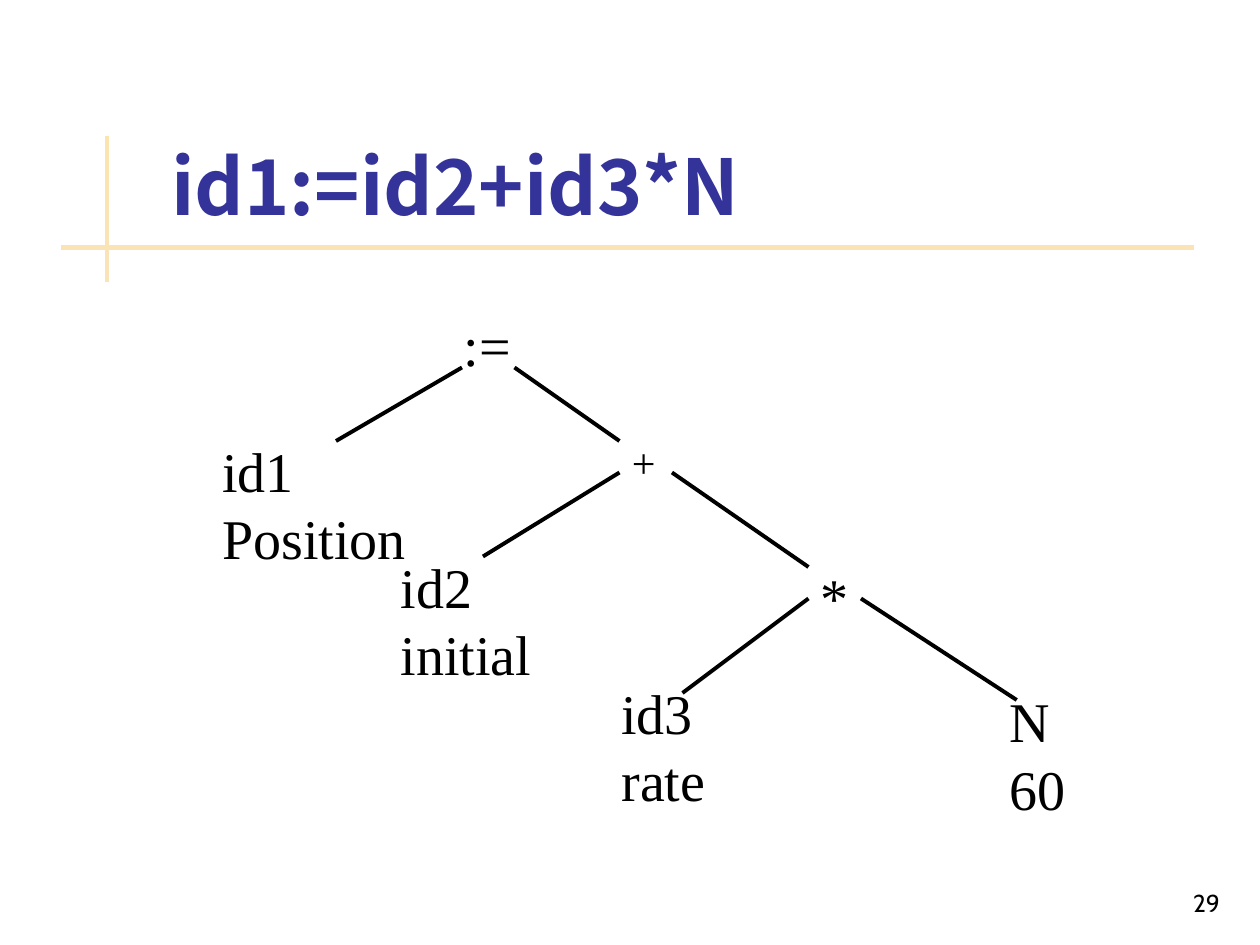
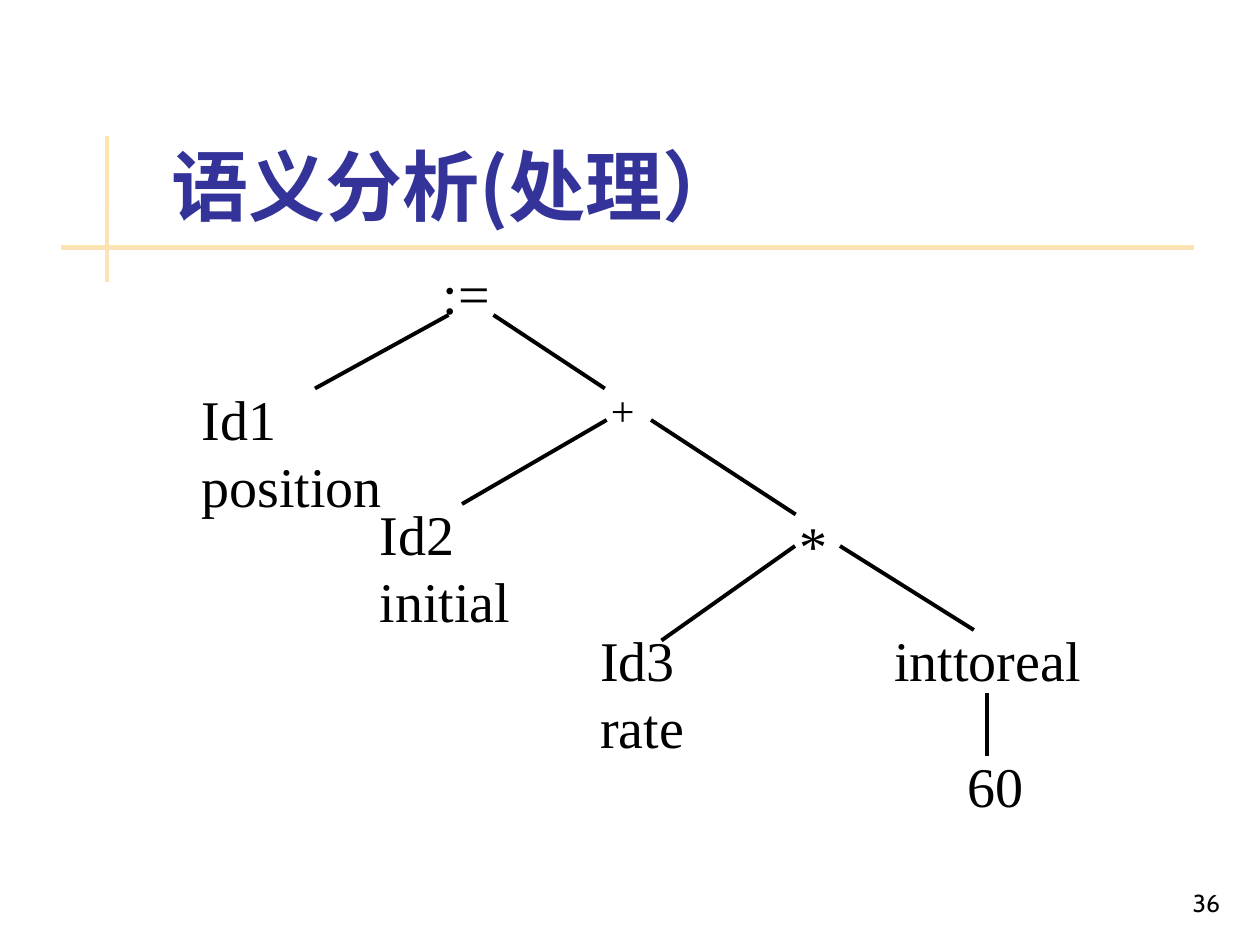
from lxml import etree
from pptx import Presentation
from pptx import util as u
from pptx.dml.color import RGBColor
from pptx.enum import shapes, text
from pptx.oxml.ns import qn

COLORS = {
    "title": "333399",
    "ink": "000000",
    "band_start": "FBE4AE",
    "band_end": "FAE3B7",
}
TITLE_FONT = "Noto Sans CJK JP"
TREE_FONT = "Times New Roman"
NUMBER_FONT = "Cabin"
LINE_HEIGHT = 1.2

BANDS = [(60, 78, 2.2, 83), (34.6, 140.2, 648, 2.4)]
OPERATORS = [(":=", 258, 174, 48, 32), ("+", 354, 246, 48, 24), ("*", 462, 318, 48, 32)]
OPERAND_PLACES = [(120, 246, 120), (222, 312, 90), (348, 384, 66)]
BRANCHES = [
    (192, 252, 264, 210),
    (294, 210, 354, 252),
    (276, 318, 354, 270),
    (384, 270, 462, 324),
    (390, 396, 462, 342),
]


def rgb(name):
    return RGBColor.from_string(COLORS[name])


def add_run(paragraph, words, font, size, color, bold=False):
    run = paragraph.add_run()
    run.text = words
    run.font.name = font
    run.font.size = u.Pt(size)
    run.font.bold = bold
    run.font.color.rgb = rgb(color)
    east_asian = etree.SubElement(run._r.get_or_add_rPr(), qn("a:ea"))
    east_asian.set("typeface", font)


def add_band(slide, left, top, width, height):
    band = slide.shapes.add_shape(
        shapes.MSO_SHAPE.RECTANGLE, u.Pt(left), u.Pt(top), u.Pt(width), u.Pt(height)
    )
    band.shadow.inherit = False
    band.line.fill.background()
    band.fill.gradient()
    band.fill.gradient_angle = 270
    for stop, color in zip(band.fill.gradient_stops, ("band_start", "band_end")):
        stop.color.rgb = rgb(color)


def set_title(slide, words):
    title = slide.shapes.title
    title.left, title.top, title.width, title.height = map(u.Pt, (90.7, 16.6, 613.4, 115.2))
    frame = title.text_frame
    frame.auto_size = text.MSO_AUTO_SIZE.NONE
    frame.vertical_anchor = text.MSO_ANCHOR.BOTTOM
    frame.margin_bottom = 0
    heading = frame.paragraphs[0]
    heading.alignment = text.PP_ALIGN.LEFT
    add_run(heading, words, TITLE_FONT, 44, "title", bold=True)


def add_label(slide, left, top, width, height):
    label = slide.shapes.add_textbox(u.Pt(left), u.Pt(top), u.Pt(width), u.Pt(height))
    label.text_frame.word_wrap = True
    return label.text_frame


def add_node(slide, words, left, top, width, size=32):
    line_height = size * LINE_HEIGHT
    height = len(words.split()) * line_height + 7.2
    node = add_label(slide, left, top, width, height).paragraphs[0]
    node.line_spacing = u.Pt(line_height)
    add_run(node, words, TREE_FONT, size, "ink")


def add_branch(slide, x1, y1, x2, y2):
    branch = slide.shapes.add_connector(
        shapes.MSO_CONNECTOR.STRAIGHT, u.Pt(x1), u.Pt(y1), u.Pt(x2), u.Pt(y2)
    )
    branch.line.color.rgb = rgb("ink")
    branch.line.width = u.Pt(2.25)
    etree.SubElement(branch._element.spPr, qn("a:effectLst"))


def add_slide_number(slide, number):
    frame = add_label(slide, 554.4, 491.8, 149.8, 36)
    frame.vertical_anchor = text.MSO_ANCHOR.BOTTOM
    frame.paragraphs[0].alignment = text.PP_ALIGN.RIGHT
    add_run(frame.paragraphs[0], number, NUMBER_FONT, 14, "ink")


def add_syntax_tree(slide, operands, dx=0, dy=0, stretch=1):
    places = [(words, *place, 32) for words, place in zip(operands, OPERAND_PLACES)]
    for words, left, top, width, size in OPERATORS + places:
        add_node(slide, words, left + dx, top + dy, width * stretch, size)
    for x1, y1, x2, y2 in BRANCHES:
        left = x1 + dx
        add_branch(slide, left, y1 + dy, left + (x2 - x1) * stretch, y2 + dy)


def add_tree_slide(deck, title, number):
    slide = deck.slides.add_slide(deck.slide_layouts[5])
    for band in BANDS:
        add_band(slide, *band)
    set_title(slide, title)
    add_slide_number(slide, number)
    return slide


def main():
    deck = Presentation()
    deck.slide_width, deck.slide_height = u.Pt(720), u.Pt(540)

    syntax = add_tree_slide(deck, "id1:=id2+id3*N", "29")
    add_syntax_tree(syntax, ["id1 Position", "id2 initial", "id3 rate"])
    add_node(syntax, "N 60", 569.5, 389, 48)
    add_branch(syntax, 492, 342, 581, 400)

    semantics = add_tree_slide(deck, "语义分析(处理）", "36")
    add_syntax_tree(
        semantics, ["Id1 position", "Id2 initial", "Id3 rate"], dx=-12, dy=-30, stretch=1.06
    )
    add_node(semantics, "inttoreal", 504, 354, 126)
    add_node(semantics, "60", 546, 426, 48)
    add_branch(semantics, 480, 312, 556.5, 360)
    add_branch(semantics, 564, 396, 564, 432)

    deck.save("out.pptx")


if __name__ == "__main__":
    main()
